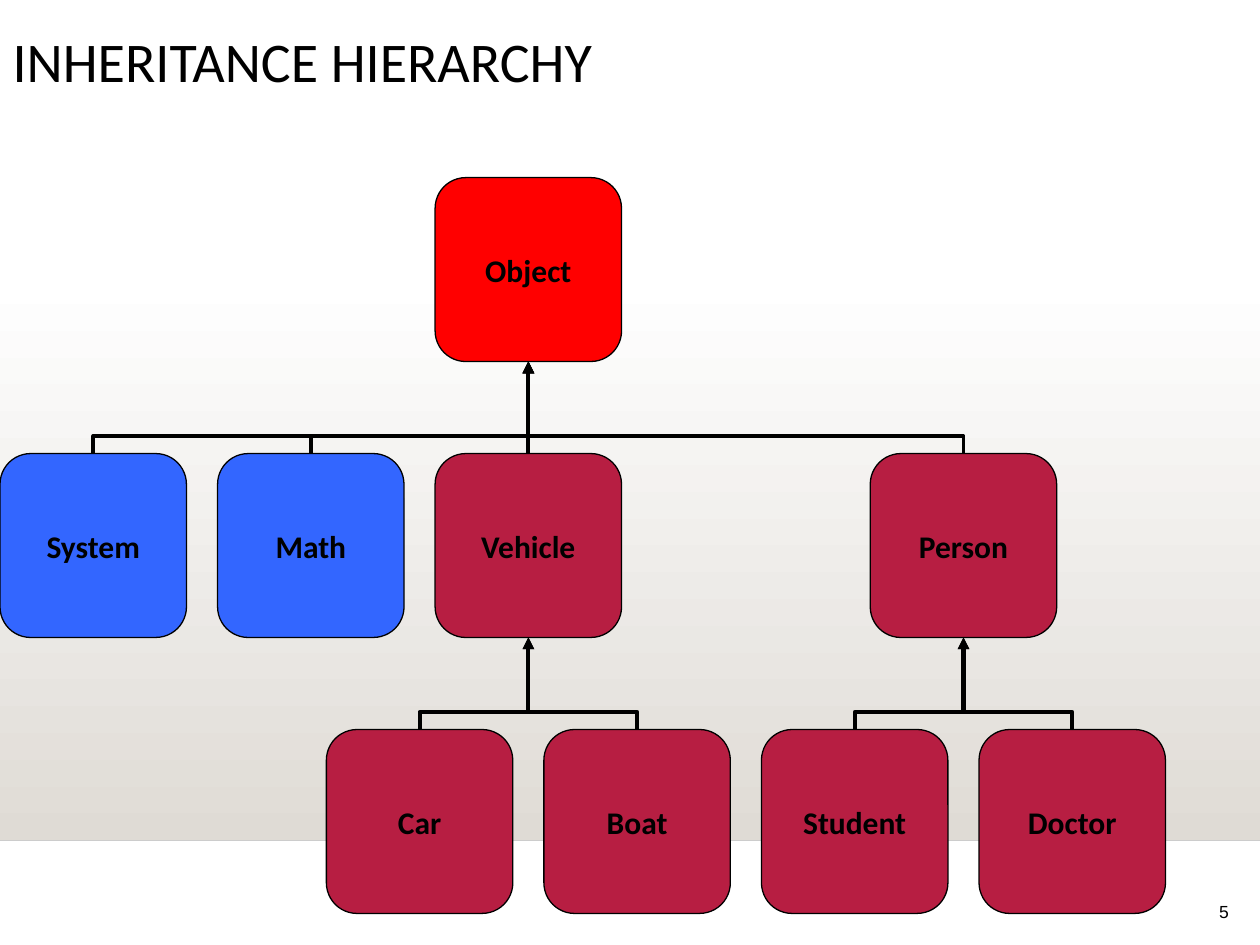
from lxml import etree
from pptx import Presentation
from pptx.dml.color import RGBColor
from pptx.enum import shapes, text
from pptx.oxml.ns import qn
from pptx.util import Inches, Pt

RED, BLUE, WINE = "FF0000", "3366FF", "B71E42"
WIDE, HIGH = 1.48, 1.46
STEP, DROP = 7.77 / 4.5, 2.19  # column and row pitch

# name, column, row, fill, parent
TREE = [
    ("Object", 2, 0, RED, None),
    ("System", 0, 1, BLUE, "Object"),
    ("Math", 1, 1, BLUE, "Object"),
    ("Vehicle", 2, 1, WINE, "Object"),
    ("Person", 4, 1, WINE, "Object"),
    ("Car", 1.5, 2, WINE, "Vehicle"),
    ("Boat", 2.5, 2, WINE, "Vehicle"),
    ("Student", 3.5, 2, WINE, "Person"),
    ("Doctor", 4.5, 2, WINE, "Person"),
]


def color(code):
    return RGBColor.from_string(code)


def style(para, size, face, bold=False):
    for run in para.runs:
        run.font.size, run.font.name, run.font.bold = Pt(size), face, bold
        run.font.color.rgb = color("000000")


def flat(line):
    etree.SubElement(line._element.spPr, qn("a:effectLst"))


def backdrop(slide, x, y, w, h):
    # Fading band
    band = slide.shapes.add_shape(
        shapes.MSO_SHAPE.RECTANGLE, Inches(x), Inches(y), Inches(w), Inches(h))
    band.shadow.inherit = False
    band.line.fill.background()
    band.fill.gradient()
    band.fill.gradient_angle = 270
    for stop, code in zip(band.fill.gradient_stops, ("FFFFFF", "DFDBD5")):
        stop.color.rgb = color(code)
    # Floor line
    base = Inches(y + h)
    floor = slide.shapes.add_connector(
        shapes.MSO_CONNECTOR.STRAIGHT, Inches(x), base, Inches(x + w), base)
    floor.line.color.rgb = color("CCCCCC")
    floor.line.width = Pt(1)
    flat(floor)


def heading(slide, x, y, w, h):
    title = slide.shapes.title
    title.left, title.top, title.width, title.height = map(Inches, (x, y, w, h))
    frame = title.text_frame
    frame.text = "INHERITANCE HIERARCHY"
    frame.vertical_anchor = text.MSO_ANCHOR.TOP
    para = frame.paragraphs[0]
    para.alignment = text.PP_ALIGN.LEFT
    para.line_spacing = 0.9
    style(para, 32, "Calibri")


def node(group, name, fill, x, y):
    box = group.shapes.add_shape(
        shapes.MSO_SHAPE.ROUNDED_RECTANGLE,
        Inches(x), Inches(y), Inches(WIDE), Inches(HIGH))
    box.shadow.inherit = False
    box.fill.solid()
    box.fill.fore_color.rgb = color(fill)
    box.line.color.rgb = color("000000")
    box.line.width = Pt(0.75)
    frame = box.text_frame
    frame.text = name
    frame.word_wrap = False
    frame.vertical_anchor = text.MSO_ANCHOR.MIDDLE
    frame.margin_left = frame.margin_right = 0
    frame.margin_top = frame.margin_bottom = 0
    para = frame.paragraphs[0]
    para.alignment = text.PP_ALIGN.CENTER
    style(para, 18, "Calibri", True)
    return box


def link(group, child, parent):
    line = group.shapes.add_connector(shapes.MSO_CONNECTOR.ELBOW, 0, 0, 0, 0)
    line.begin_connect(child, 0)
    line.end_connect(parent, 2)
    line.line.color.rgb = color("000000")
    line.line.width = Pt(2.25)
    flat(line)
    etree.SubElement(line.line._get_or_add_ln(), qn("a:tailEnd"), type="triangle")

    # Turn the elbow upright, so it leaves the child vertically
    left = child.left < parent.left
    foot = parent.top + parent.height
    rise, run = child.top - foot, abs(child.left - parent.left)
    mid = (child.left + parent.left + child.width) // 2
    line.left, line.top = mid - rise // 2, (foot + child.top - run) // 2
    line.width, line.height = rise, run
    form = line._element.spPr.find(qn("a:xfrm"))
    form.set("rot", str((90 if left else 270) * 60000))
    form.set("flipH", "1" if left else "0")
    form.set("flipV", "1")
    geom = line._element.spPr.find(qn("a:prstGeom"))
    bend = geom.find(qn("a:avLst"))
    if bend is None:
        bend = etree.SubElement(geom, qn("a:avLst"))
    etree.SubElement(bend, qn("a:gd"), name="adj1", fmla="val 19000")


def chart(slide, x, y):
    group = slide.shapes.add_group_shape()
    boxes = {}
    for name, col, row, fill, _ in TREE:
        boxes[name] = node(group, name, fill, x + col * STEP, y + row * DROP)
    for name, _, _, _, parent in TREE:
        if parent:
            link(group, boxes[name], boxes[parent])


def number(slide, x, y, w, h):
    box = slide.shapes.add_textbox(Inches(x), Inches(y), Inches(w), Inches(h))
    frame = box.text_frame
    frame.word_wrap = True
    frame.vertical_anchor = text.MSO_ANCHOR.BOTTOM
    frame.text = "5"
    para = frame.paragraphs[0]
    para.alignment = text.PP_ALIGN.RIGHT
    style(para, 10, "Arial")


def main():
    deck = Presentation()
    deck.slide_width, deck.slide_height = Inches(10), Inches(7.5)
    slide = deck.slides.add_slide(deck.slide_layouts[5])
    backdrop(slide, 0, 2.2, 10, 4.47)
    number(slide, 8, 7.08, 1.85, 0.29)
    heading(slide, 0, 0.22, 8.92, 1)
    chart(slide, 0, 1.41)
    deck.save("out.pptx")


if __name__ == "__main__":
    main()
